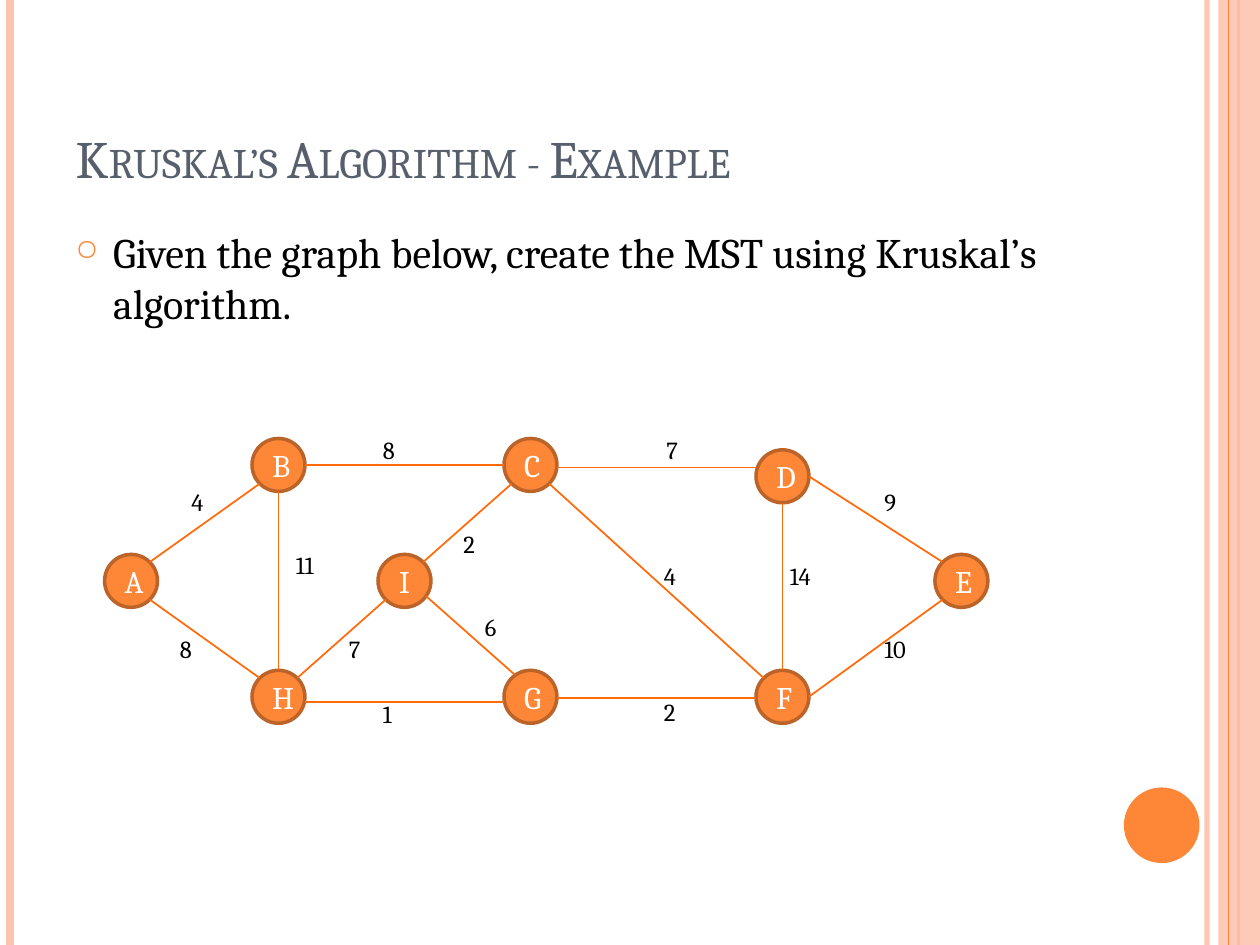
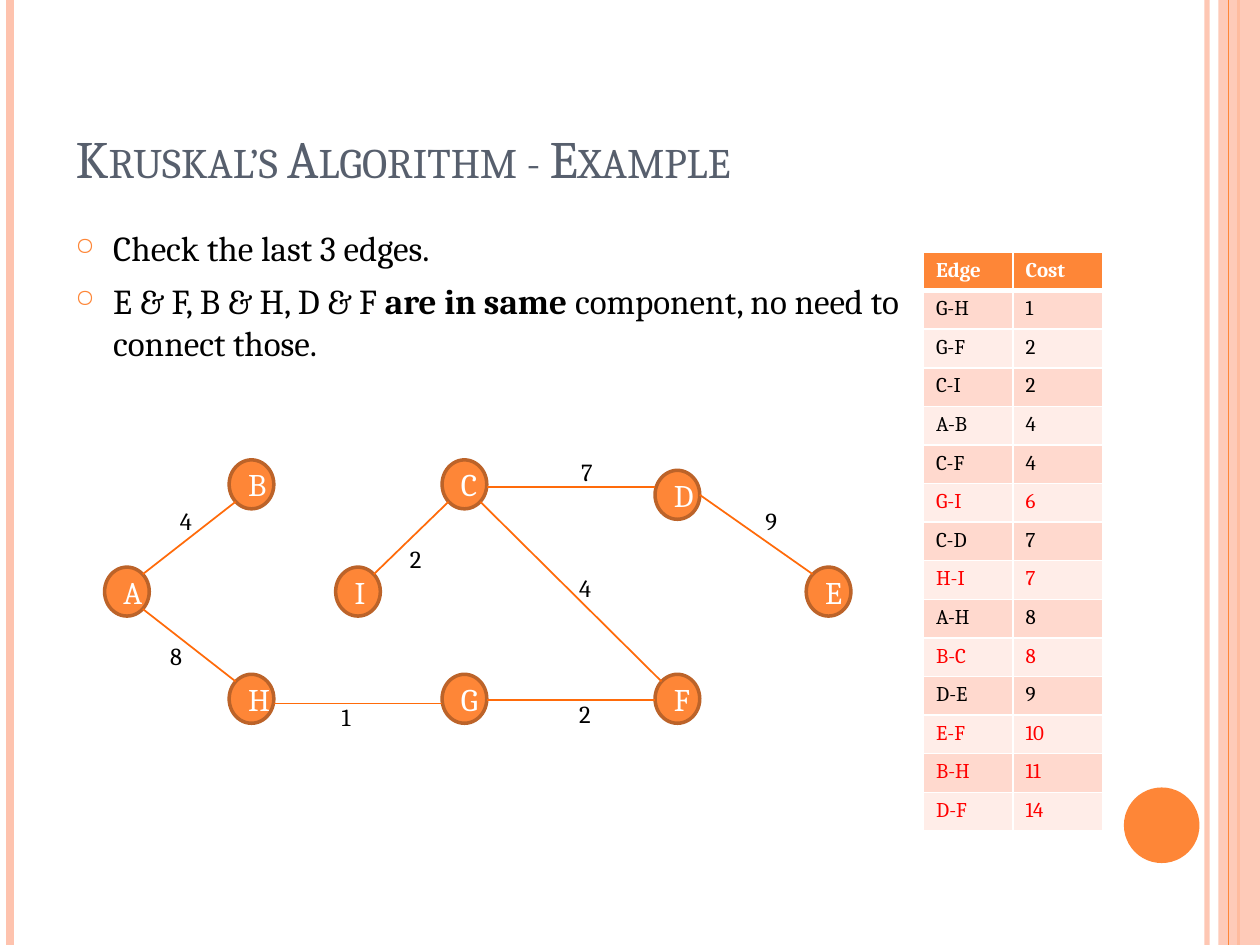
from lxml.etree import SubElement
from pptx import Presentation
from pptx.dml.color import RGBColor
from pptx.enum.shapes import MSO_CONNECTOR, MSO_SHAPE
from pptx.enum.text import MSO_ANCHOR, MSO_AUTO_SIZE, PP_ALIGN
from pptx.oxml.ns import qn
from pptx.util import Inches, Pt

FONT = "Cambria"
ORANGE, PEACH, WHITE, BLACK, RED = "FE8637", "FEC3AE", "FFFFFF", "000000", "FF0000"
TITLE_GREY, NODE_RIM, EDGE_ORANGE = "575F6D", "BC6329", "FF6B0A"
ROW_FILLS = ("FFEDE8", "FFD9CE")
TITLE = "Kruskal’s Algorithm - Example"

# Graph coordinates are in inches at full size.
GRAPH_LEFT, GRAPH_TOP, NODE_SIZE = 0.83, 3.48, 0.42
NODES = {
    "A": (0.83, 4.4), "I": (3, 4.4), "E": (7.42, 4.4),
    "H": (2, 5.32), "G": (4, 5.32), "F": (6, 5.32),
    "B": (2, 3.48), "C": (4, 3.48), "D": (6, 3.57),
}
DIAGONAL = 0.71
SITES = {
    "n": (0, -1), "s": (0, 1), "e": (1, 0), "w": (-1, 0),
    "ne": (DIAGONAL, -DIAGONAL), "nw": (-DIAGONAL, -DIAGONAL),
    "se": (DIAGONAL, DIAGONAL), "sw": (-DIAGONAL, DIAGONAL),
}
# Edge, cost, in the spanning tree, sites at both ends, label corner
EDGES = [
    ("G-H", 1, True, "w", "e", (2.94, 5.5)),
    ("G-F", 2, True, "e", "w", (5.17, 5.48)),
    ("C-I", 2, True, "sw", "ne", (3.58, 4.15)),
    ("A-B", 4, True, "ne", "sw", (1.42, 3.82)),
    ("C-F", 4, True, "se", "nw", (5.17, 4.4)),
    ("G-I", 6, False, "nw", "se", (3.75, 4.81)),
    ("C-D", 7, True, "e", "w", (5.19, 3.4)),
    ("H-I", 7, False, "ne", "sw", (2.67, 4.98)),
    ("A-H", 8, True, "se", "nw", (1.33, 4.98)),
    ("B-C", 8, False, "e", "w", (2.94, 3.4)),
    ("D-E", 9, True, "e", "nw", (6.92, 3.82)),
    ("E-F", 10, False, "sw", "e", (6.92, 4.98)),
    ("B-H", 11, False, "s", "n", (2.25, 4.32)),
    ("D-F", 14, False, "s", "n", (6.17, 4.4)),
]
# Level edges keep one height, whatever the nodes at their ends
EDGE_HEIGHTS = {"G-H": 5.57, "G-F": 5.54, "C-D": 3.71}
EDGE_SHIFTS = {"G-I": (0.02, -0.03)}


def color(hex_code):
    return RGBColor.from_string(hex_code)


def set_opacity(shape, percent):
    for color_element in shape._element.spPr.iter(qn("a:srgbClr")):
        SubElement(color_element, qn("a:alpha"), val=str(percent * 1000))


def add_bullet(paragraph):
    properties = paragraph._p.get_or_add_pPr()
    properties.set("marL", str(Inches(0.3)))
    properties.set("indent", str(Inches(-0.3)))
    bullet_color = SubElement(properties, qn("a:buClr"))
    SubElement(bullet_color, qn("a:srgbClr"), val=ORANGE)
    SubElement(properties, qn("a:buSzPct"), val="70000")
    SubElement(properties, qn("a:buChar"), char="○")


def write(frame, *paragraphs, size, hex_code=BLACK, bold=False, small_caps=False,
          align=PP_ALIGN.LEFT, anchor=None, bulleted=False):
    """Each paragraph is a string, or a list of (text, bold) runs."""
    if anchor is not None:
        frame.vertical_anchor = anchor
    for index, content in enumerate(paragraphs):
        paragraph = frame.add_paragraph() if index else frame.paragraphs[0]
        paragraph.alignment = align
        if bulleted:
            paragraph.space_before = Pt(6)
            add_bullet(paragraph)
        runs = [(content, bold)] if isinstance(content, str) else content
        for text, is_bold in runs:
            run = paragraph.add_run()
            run.text = text
            run.font.name, run.font.size, run.font.bold = FONT, Pt(size), is_bold
            run.font.color.rgb = color(hex_code)
            if small_caps:
                run.font._element.set("cap", "small")


def set_borders(cell, top, bottom):
    properties = cell._tc.get_or_add_tcPr()
    widths = {"a:lnL": 1, "a:lnR": 1, "a:lnT": top, "a:lnB": bottom}
    for position, (side, width) in enumerate(widths.items()):
        border = SubElement(properties, qn(side), w=str(Pt(width)))
        fill = SubElement(border, qn("a:solidFill"))
        SubElement(fill, qn("a:srgbClr"), val=WHITE)
        properties.insert(position, border)  # borders come before the cell fill


class Deck:
    def __init__(self):
        self.presentation = Presentation()
        self.presentation.slide_width = Inches(10)
        self.presentation.slide_height = Inches(7.5)
        self.slide = None

    def start_slide(self):
        self.slide = self.presentation.slides.add_slide(
            self.presentation.slide_layouts[5])
        self.decorate()
        heading = self.slide.shapes.title
        heading.left, heading.top = Inches(0.5), Inches(0.3)
        heading.width, heading.height = Inches(8.17), Inches(1.25)
        write(heading.text_frame, TITLE, size=30, hex_code=TITLE_GREY,
              small_caps=True, anchor=MSO_ANCHOR.BOTTOM)

    def decorate(self):
        set_opacity(self.rule(9.58, PEACH, 3), 93)
        self.rule(0.08, PEACH, 4.5)
        self.rule(9.83, ORANGE, 1.5)
        band = self.shape(MSO_SHAPE.RECTANGLE, 9.67, 0, 0.33, 7.5, PEACH)
        set_opacity(band, 87)
        self.rule(9.75, ORANGE, 0.75)
        self.shape(MSO_SHAPE.OVAL, 8.92, 6.25, 0.6, 0.6, ORANGE)

    def rule(self, x, hex_code, width):
        return self.line((x, 0), (x, 7.5), hex_code, width)

    def line(self, start, end, hex_code, width):
        connector = self.slide.shapes.add_connector(
            MSO_CONNECTOR.STRAIGHT, *(Inches(value) for value in (*start, *end)))
        connector.line.color.rgb = color(hex_code)
        connector.line.width = Pt(width)
        SubElement(connector._element.spPr, qn("a:effectLst"))
        return connector

    def shape(self, kind, left, top, width, height, fill, rim=None):
        shape = self.slide.shapes.add_shape(
            kind, Inches(left), Inches(top), Inches(width), Inches(height))
        shape.shadow.inherit = False
        shape.fill.solid()
        shape.fill.fore_color.rgb = color(fill)
        if rim:
            shape.line.color.rgb = color(rim)
            shape.line.width = Pt(2)
        else:
            shape.line.fill.background()
        return shape

    def text_box(self, left, top, width, height, *paragraphs, wrap=True, **style):
        box = self.slide.shapes.add_textbox(
            Inches(left), Inches(top), Inches(width), Inches(height))
        box.text_frame.word_wrap = wrap
        if not wrap:
            box.text_frame.auto_size = MSO_AUTO_SIZE.SHAPE_TO_FIT_TEXT
        write(box.text_frame, *paragraphs, **style)

    def bullets(self, width, size, *paragraphs):
        self.text_box(0.5, 1.75, width, 5.33, *paragraphs, size=size, bulleted=True)

    def graph(self, edges, top=GRAPH_TOP, scale_x=1, scale_y=1):
        def place(x, y):
            return (GRAPH_LEFT + (x - GRAPH_LEFT) * scale_x,
                    top + (y - GRAPH_TOP) * scale_y)

        def end_point(edge, node, site):
            radius = NODE_SIZE / 2
            (left, node_top), (across, down) = NODES[node], SITES[site]
            shift_x, shift_y = EDGE_SHIFTS.get(edge, (0, 0))
            x = left + radius * (1 + across) + shift_x
            y = node_top + radius * (1 + down) + shift_y
            return place(x, EDGE_HEIGHTS.get(edge, y))

        for name, corner in NODES.items():
            node = self.shape(MSO_SHAPE.OVAL, *place(*corner), NODE_SIZE * scale_x,
                              NODE_SIZE * scale_y, ORANGE, NODE_RIM)
            write(node.text_frame, name, size=18, hex_code=WHITE,
                  align=PP_ALIGN.CENTER, anchor=MSO_ANCHOR.MIDDLE)
        for edge, cost, _, start_site, end_site, label_corner in edges:
            start, end = edge.split("-")
            self.line(end_point(edge, start, start_site),
                      end_point(edge, end, end_site), EDGE_ORANGE, 1)
            label_width = 0.31 if cost < 10 else 0.42
            self.text_box(*place(*label_corner), label_width * scale_x,
                          0.34 * scale_y, str(cost), wrap=False, size=14)

    def edge_table(self, left, top, width, height):
        table = self.slide.shapes.add_table(
            len(EDGES) + 1, 2, Inches(left), Inches(top),
            Inches(width), Inches(height)).table
        rows = [("Edge", "Cost", WHITE)]
        rows += [(edge, str(cost), BLACK if in_tree else RED)
                 for edge, cost, in_tree, *_ in EDGES]
        for row, (edge, cost, text_color) in enumerate(rows):
            for column, text in enumerate((edge, cost)):
                cell = table.cell(row, column)
                cell.fill.solid()
                cell.fill.fore_color.rgb = color(ROW_FILLS[row % 2] if row else ORANGE)
                set_borders(cell, top=3 if row == 1 else 1, bottom=1 if row else 3)
                write(cell.text_frame, text, size=12, hex_code=text_color,
                      bold=row == 0)


def main():
    deck = Deck()

    deck.start_slide()
    deck.bullets(8.17, 24,
                 "Given the graph below, create the MST using Kruskal’s algorithm.")
    deck.graph(EDGES)

    deck.start_slide()
    deck.bullets(6.83, 20, "Check the last 3 edges.", [
        ("E & F, B & H, D & F ", False),
        ("are in same ", True),
        ("component, no need to connect those.", False),
    ])
    deck.edge_table(7.33, 2, 1.42, 4.6)
    tree_edges = [edge for edge in EDGES if edge[2]]
    deck.graph(tree_edges, top=3.65, scale_x=0.845, scale_y=0.925)

    deck.presentation.save("out.pptx")


if __name__ == "__main__":
    main()
